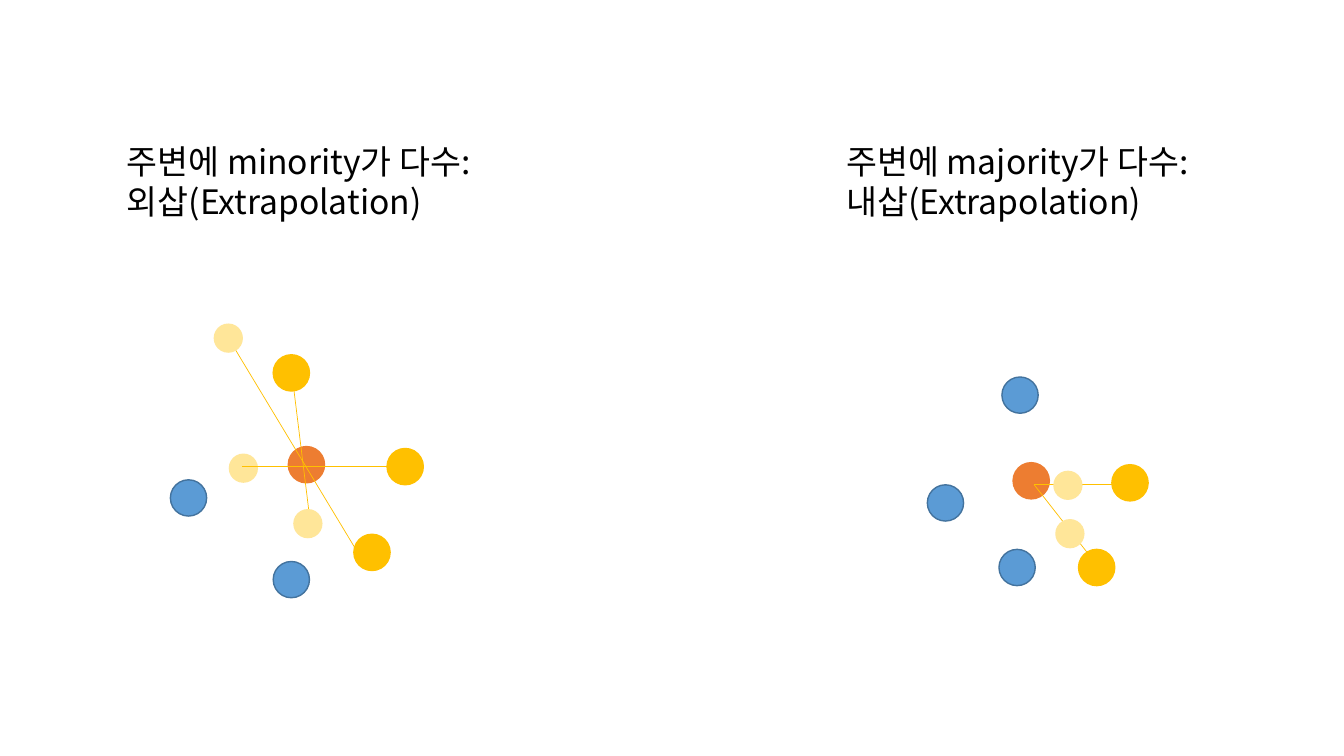
import pptx
import pptx.util
import pptx.dml.color
import pptx.enum.shapes
import pptx.enum.text
import lxml.etree

deck = pptx.Presentation()
deck.slide_width = pptx.util.Inches(13.33)
deck.slide_height = pptx.util.Inches(7.5)
slide = deck.slides.add_slide(deck.slide_layouts[6])
col = deck.slide_width / 100
row = deck.slide_height / 100
face = "Noto Sans CJK KR"
space = "http://schemas.openxmlformats.org/drawingml/2006/main"
hues = {"seed": "ED7D31", "major": "5B9BD5", "edge": "43739E",
        "minor": "FFC000", "new": "FFE699", "text": "000000"}
rims = {"seed": "seed", "major": "edge", "minor": "minor"}


def tint(name):
    return pptx.dml.color.RGBColor.from_string(hues[name])


def dot(kind, x, y):
    size = int(col * (2.7 if kind in rims else 2.18))
    disc = slide.shapes.add_shape(
        pptx.enum.shapes.MSO_SHAPE.OVAL,
        int(x * col - size / 2), int(y * row - size / 2), size, size)
    disc.shadow.inherit = False
    disc.fill.solid()
    disc.fill.fore_color.rgb = tint(kind)
    if kind in rims:
        disc.line.color.rgb = tint(rims[kind])
        disc.line.width = pptx.util.Pt(1)
    else:
        disc.line.fill.background()


marks = [
    ("seed", 76.73, 63.6), ("major", 70.35, 66.53), ("major", 75.9, 52.27),
    ("minor", 84.08, 63.87), ("minor", 81.6, 75.07), ("major", 75.68, 75.07),
    ("line", 76.95, 64.13, 84.45, 64.13), ("line", 76.95, 64.13, 81.53, 74.53),
    ("new", 79.61, 70.6), ("new", 79.46, 64.2),
    ("seed", 22.8, 61.47), ("major", 14.03, 65.87), ("minor", 21.68, 49.33),
    ("minor", 30.15, 61.73), ("minor", 27.68, 73.07), ("major", 21.68, 76.67),
    ("new", 18.11, 61.93),
    ("line", 18, 61.73, 31.43, 61.73), ("line", 17.25, 45.47, 26.7, 73.33),
    ("new", 16.99, 44.73),
    ("line", 21.75, 49.87, 23.03, 68.27), ("new", 22.91, 69.27),
]
for kind, x, y, *end in marks:
    if kind != "line":
        dot(kind, x, y)
        continue
    link = slide.shapes.add_connector(
        pptx.enum.shapes.MSO_CONNECTOR.STRAIGHT,
        int(x * col), int(y * row), int(end[0] * col), int(end[1] * row))
    link.line.color.rgb = tint("minor")
    link.line.width = pptx.util.Pt(0.5)
    lxml.etree.SubElement(link._element.spPr, f"{{{space}}}effectLst")

heads = [
    (8.7, 37.8, ["주변에 minority가 다수:", "외삽(Extrapolation)"]),
    (62.25, 28.95, ["주변에 majority가 다수:", "내삽(Extrapolation)"]),
]
for left, wide, lines in heads:
    box = slide.shapes.add_textbox(
        int(left * col), int(18 * row), int(wide * col), int(12.13 * row))
    frame = box.text_frame
    frame.word_wrap = True
    frame.auto_size = pptx.enum.text.MSO_AUTO_SIZE.SHAPE_TO_FIT_TEXT
    for rank, words in enumerate(lines):
        para = frame.add_paragraph() if rank else frame.paragraphs[0]
        run = para.add_run()
        run.text = words
        run.font.size = pptx.util.Pt(24)
        run.font.color.rgb = tint("text")
        run.font.name = face
        east = lxml.etree.SubElement(run.font._element, f"{{{space}}}ea")
        east.set("typeface", face)

deck.save("out.pptx")
